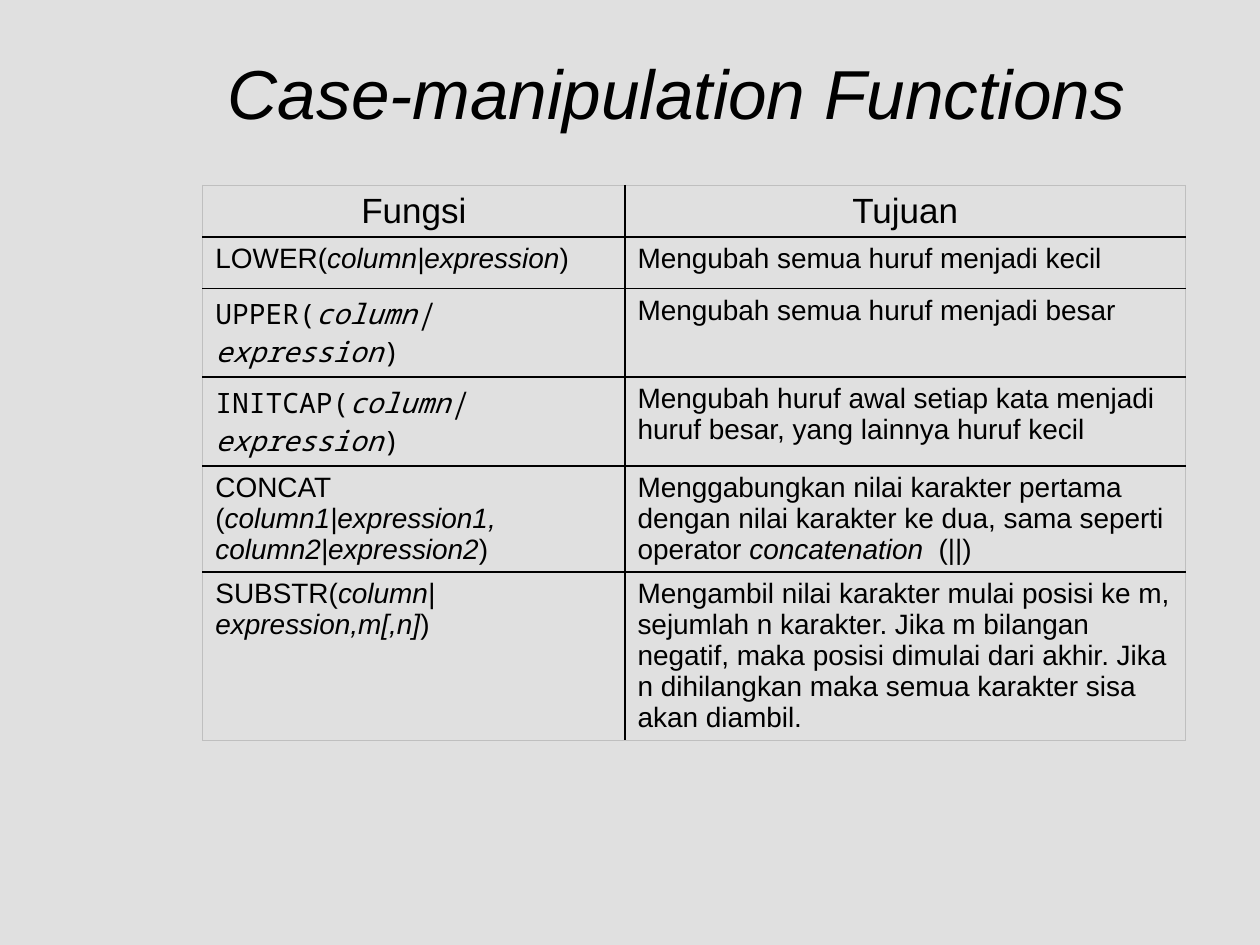
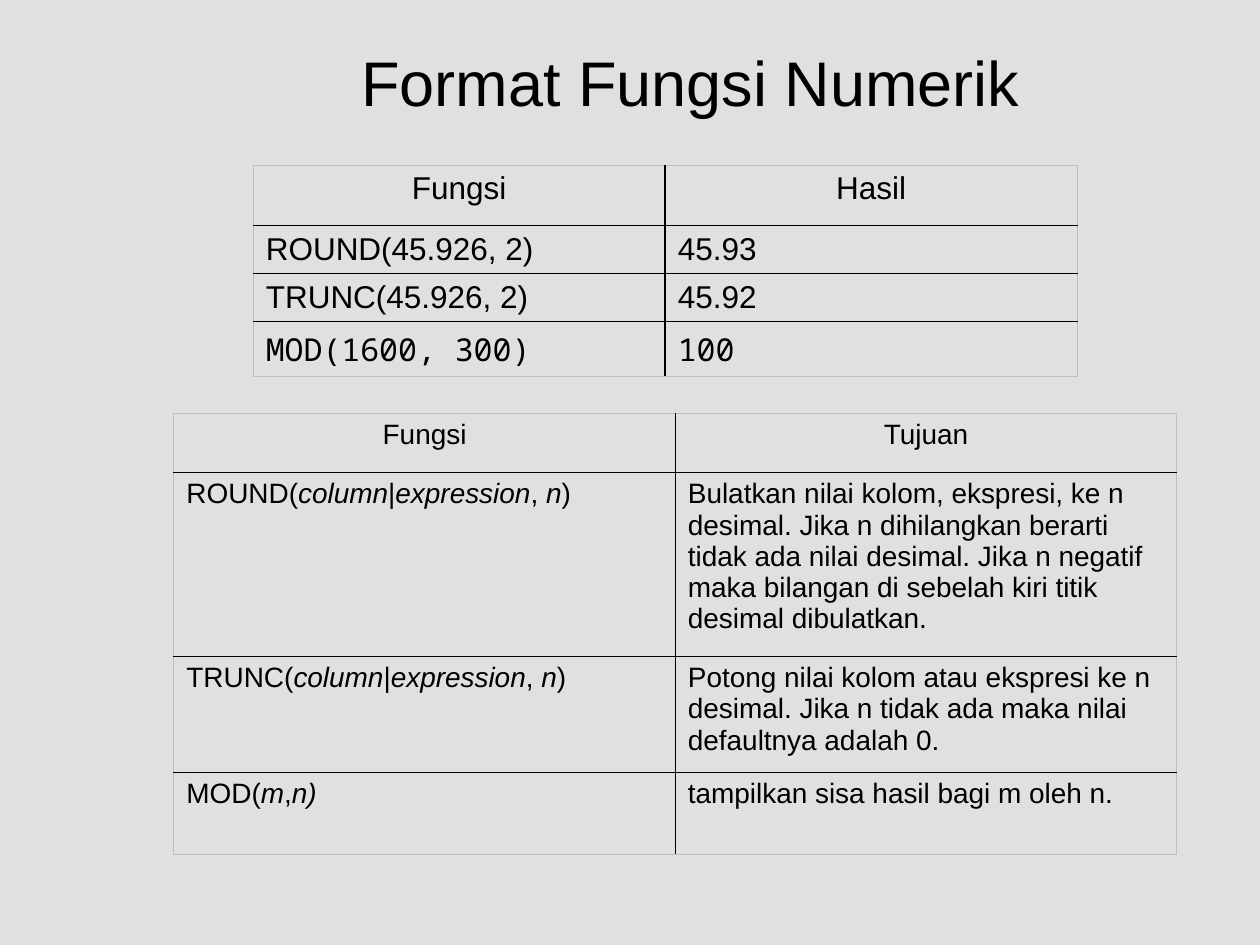
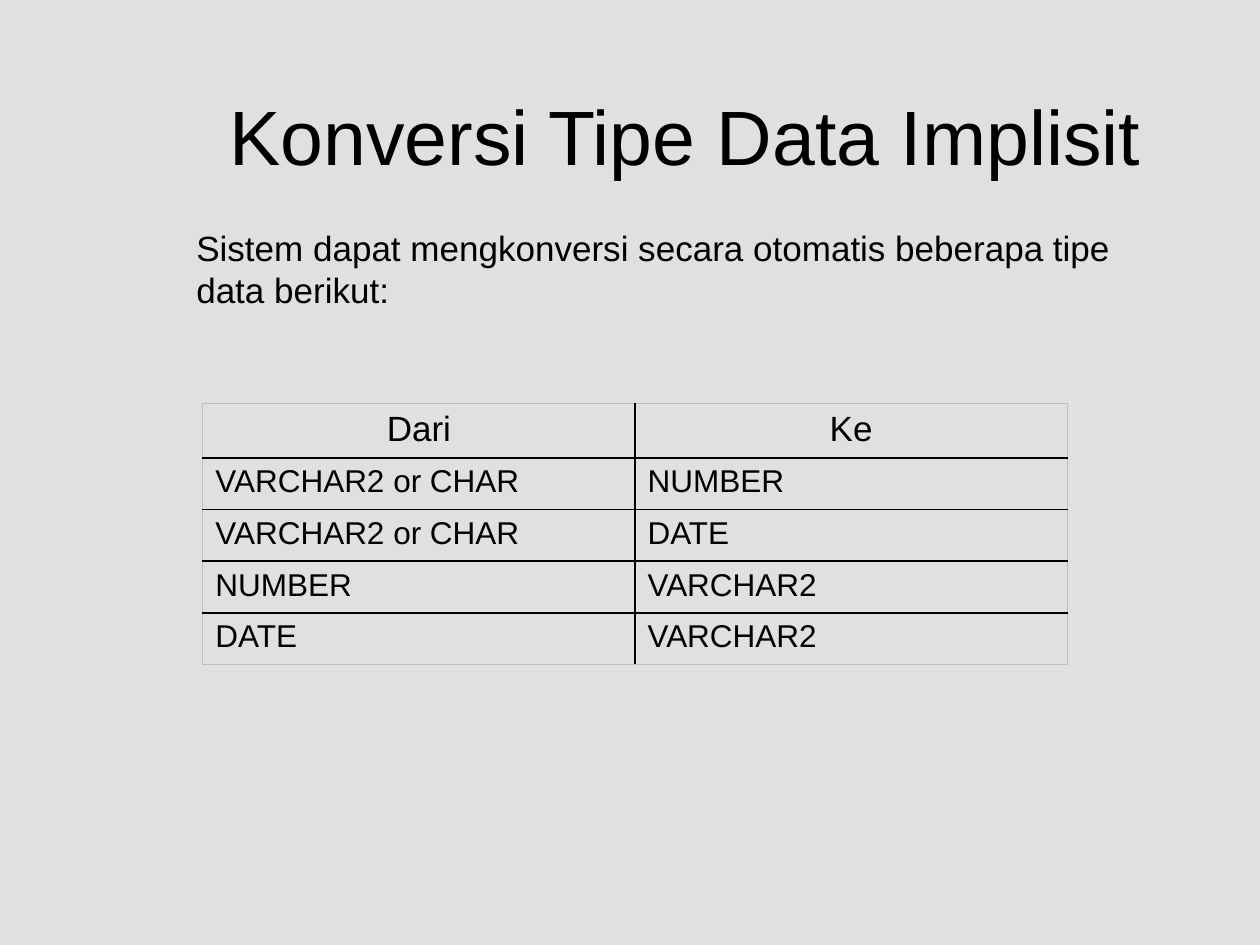
from dataclasses import dataclass
from typing import Optional

from lxml.etree import SubElement
from pptx import Presentation
from pptx.dml.color import RGBColor
from pptx.enum.text import MSO_ANCHOR as ANCHOR, MSO_AUTO_SIZE as AUTO, PP_ALIGN as ALIGN
from pptx.oxml.ns import qn
from pptx.util import Emu, Pt

EMU_PER_PX = 9144
COLORS = {"back": "E0E0E0", "text": "000000", "rule": "000000", "frame": "BFBFBF"}
SANS = "Arial"
MONO = "Noto Sans Mono"
ITALIC_MARK = "*"
RULE_PT = 1
FRAME_PT = 0.5


@dataclass(frozen=True)
class Box:
    left: int
    top: int
    width: int
    height: int


@dataclass(frozen=True)
class Title:
    text: str
    box: Box
    size: float
    italic: bool = False


@dataclass(frozen=True)
class Intro:
    text: str
    box: Box
    size: float


@dataclass(frozen=True)
class Grid:
    left: int
    top: int
    widths: tuple[int, ...]
    heights: tuple[int, ...]
    head_size: float
    body_size: float
    rows: tuple[tuple[str, ...], ...]
    mono: frozenset[tuple[int, int]] = frozenset()


@dataclass(frozen=True)
class Page:
    title: Title
    grids: tuple[Grid, ...]
    intro: Optional[Intro] = None


PAGES = (
    Page(
        Title("Case-manipulation Functions", Box(146, 29, 782, 87), 39.6, italic=True),
        (
            Grid(
                161, 147, (335, 445), (41,) * 6, 20, 16,
                (
                    ("Fungsi", "Tujuan"),
                    ("LOWER(*column|expression*)", "Mengubah semua huruf menjadi kecil"),
                    ("UPPER(*column|expression*)", "Mengubah semua huruf menjadi besar"),
                    ("INITCAP(*column|expression*)",
                     "Mengubah huruf awal setiap kata menjadi huruf besar, "
                     "yang lainnya huruf kecil"),
                    ("CONCAT\n(*column1|expression1,*\n*column2|expression2*)",
                     "Menggabungkan nilai karakter pertama dengan nilai karakter ke dua, "
                     "sama seperti operator *concatenation * (||)"),
                    ("SUBSTR(*column|expression,m[,n]*)",
                     "Mengambil nilai karakter mulai posisi ke m, sejumlah n karakter. "
                     "Jika m bilangan negatif, maka posisi dimulai dari akhir. "
                     "Jika n dihilangkan maka semua karakter sisa akan diambil."),
                ),
                frozenset({(2, 0), (3, 0)}),
            ),
        ),
    ),
    Page(
        Title("Format Fungsi Numerik", Box(146, 30, 804, 69), 36),
        (
            Grid(
                138, 328, (398, 398), (47, 146, 92, 65), 16, 16,
                (
                    ("Fungsi", "Tujuan"),
                    ("ROUND(*column*|*expression*, *n*)",
                     "Bulatkan nilai kolom, ekspresi, ke n desimal. Jika n dihilangkan "
                     "berarti tidak ada nilai desimal. Jika n negatif maka bilangan "
                     "di sebelah kiri titik desimal dibulatkan."),
                    ("TRUNC(*column*|*expression*, *n*)",
                     "Potong nilai kolom atau ekspresi ke n desimal. Jika n tidak ada "
                     "maka nilai defaultnya adalah 0."),
                    ("MOD(*m*,*n)*", "tampilkan sisa hasil bagi m oleh n."),
                ),
            ),
            Grid(
                201, 131, (327, 327), (48, 37, 37, 37), 18, 18,
                (
                    ("Fungsi", "Hasil"),
                    ("ROUND(45.926, 2)", "45.93"),
                    ("TRUNC(45.926, 2)", "45.92"),
                    ("MOD(1600, 300)", "100"),
                ),
                frozenset({(3, 0), (3, 1)}),
            ),
        ),
    ),
    Page(
        Title("Konversi Tipe Data Implisit", Box(144, 68, 800, 78), 44),
        (
            Grid(
                161, 320, (343, 343), (41,) * 5, 20, 18,
                (
                    ("Dari", "Ke"),
                    ("VARCHAR2 or CHAR", "NUMBER"),
                    ("VARCHAR2 or CHAR", "DATE"),
                    ("NUMBER", "VARCHAR2"),
                    ("DATE", "VARCHAR2"),
                ),
            ),
        ),
        Intro(
            "Sistem dapat mengkonversi secara otomatis beberapa tipe data berikut:",
            Box(146, 175, 804, 82), 20,
        ),
    ),
)


def px(n: int) -> Emu:
    return Emu(n * EMU_PER_PX)


def rgb(name: str) -> RGBColor:
    return RGBColor.from_string(COLORS[name])


def style_run(r, size: float, font: str = SANS, italic: bool = False) -> None:
    r.font.size = Pt(size)
    r.font.name = font
    r.font.bold = False
    r.font.italic = italic
    r.font.color.rgb = rgb("text")


def write_marked(tf, text: str, size: float, font: str, align: ALIGN) -> None:
    for i, line in enumerate(text.split("\n")):
        p = tf.add_paragraph() if i else tf.paragraphs[0]
        p.alignment = align
        for k, part in enumerate(line.split(ITALIC_MARK)):
            if part:
                r = p.add_run()
                r.text = part
                style_run(r, size, font, italic=k % 2 == 1)


def set_border(cell, side: str, outer: bool) -> None:
    width = Pt(FRAME_PT if outer else RULE_PT)
    ln = SubElement(cell._tc.get_or_add_tcPr(), qn(f"a:ln{side}"), w=str(width))
    fill = SubElement(ln, qn("a:solidFill"))
    SubElement(fill, qn("a:srgbClr"), val=COLORS["frame" if outer else "rule"])


def add_title(s, title: Title) -> None:
    sp = s.shapes.title
    box = title.box
    sp.left, sp.top = px(box.left), px(box.top)
    sp.width, sp.height = px(box.width), px(box.height)
    tf = sp.text_frame
    tf.text = title.text
    tf.auto_size = AUTO.NONE
    tf.vertical_anchor = ANCHOR.MIDDLE
    p = tf.paragraphs[0]
    p.alignment = ALIGN.CENTER
    style_run(p.runs[0], title.size, italic=title.italic)


def add_intro(s, intro: Intro) -> None:
    box = intro.box
    sp = s.shapes.add_textbox(px(box.left), px(box.top), px(box.width), px(box.height))
    tf = sp.text_frame
    tf.word_wrap = True
    tf.text = intro.text
    p = tf.paragraphs[0]
    p.space_before = Pt(intro.size * 0.2)
    style_run(p.runs[0], intro.size)


def add_grid(s, grid: Grid) -> None:
    n_rows, n_cols = len(grid.heights), len(grid.widths)
    table = s.shapes.add_table(
        n_rows, n_cols, px(grid.left), px(grid.top),
        px(sum(grid.widths)), px(sum(grid.heights)),
    ).table
    table.first_row = False
    table.horz_banding = False
    for col, width in zip(table.columns, grid.widths):
        col.width = px(width)
    for row, height in zip(table.rows, grid.heights):
        row.height = px(height)
    for i, texts in enumerate(grid.rows):
        size = grid.body_size if i else grid.head_size
        align = ALIGN.LEFT if i else ALIGN.CENTER
        for j, text in enumerate(texts):
            cell = table.cell(i, j)
            font = MONO if (i, j) in grid.mono else SANS
            write_marked(cell.text_frame, text, size, font, align)
            set_border(cell, "L", j == 0)
            set_border(cell, "R", j == n_cols - 1)
            set_border(cell, "T", i == 0)
            set_border(cell, "B", i == n_rows - 1)
            cell.fill.background()


def main() -> None:
    prs = Presentation()
    prs.slide_width, prs.slide_height = px(1000), px(750)
    back = prs.slide_master.background.fill
    back.solid()
    back.fore_color.rgb = rgb("back")
    title_only = prs.slide_layouts[5]
    for page in PAGES:
        s = prs.slides.add_slide(title_only)
        add_title(s, page.title)
        if page.intro:
            add_intro(s, page.intro)
        for grid in page.grids:
            add_grid(s, grid)
    prs.save("out.pptx")


if __name__ == "__main__":
    main()
